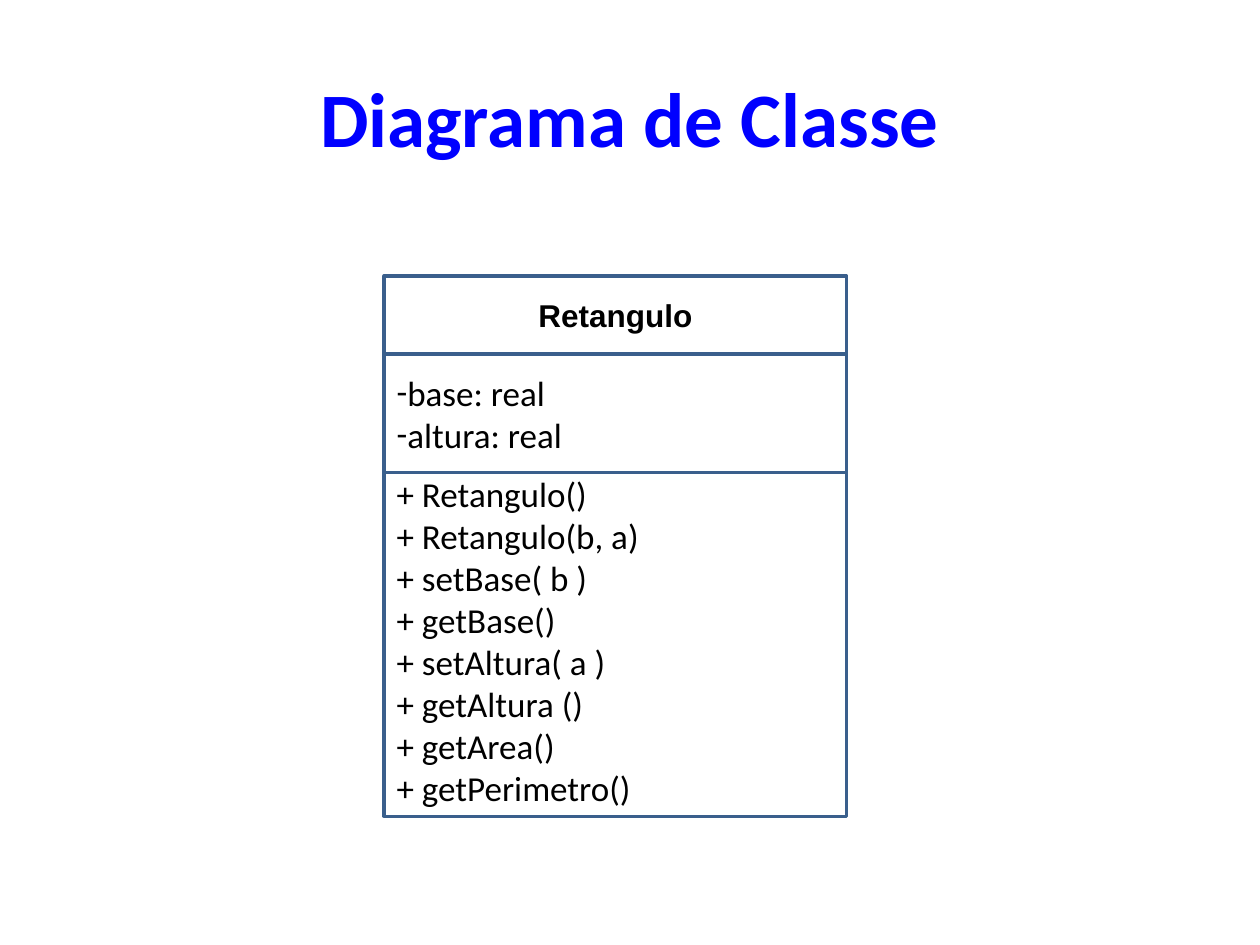
from lxml.etree import SubElement
from pptx import Presentation
from pptx.dml.color import RGBColor
from pptx.enum.shapes import MSO_SHAPE
from pptx.enum.text import MSO_ANCHOR, PP_ALIGN
from pptx.oxml.ns import qn
from pptx.util import Inches, Pt

CLASS_LEFT, CLASS_TOP, CLASS_WIDTH = 3.05, 2.19, 3.67
TITLE_FONT = {"name": "Calibri", "size": Pt(44), "bold": True}
NAME_FONT = {"name": "Arial", "size": Pt(18), "bold": True}
MEMBER_FONT = {"name": "Calibri", "size": Pt(20), "bold": False}
ATTRIBUTES = ["base: real", "altura: real"]
METHODS = ["Retangulo()", "Retangulo(b, a)", "setBase( b )", "getBase()",
           "setAltura( a )", "getAltura ()", "getArea()", "getPerimetro()"]


def color(value):
    return RGBColor.from_string(value)


def apply_format(target, values):
    for name, value in values.items():
        setattr(target, name, value)


def add_bullet(para, mark):
    properties = para._p.get_or_add_pPr()
    apply_bullet = {"marL": "0", "indent": "0"}
    for name, value in apply_bullet.items():
        properties.set(name, value)
    SubElement(properties, qn("a:buFont")).set("typeface", "Calibri")
    SubElement(properties, qn("a:buChar")).set("char", mark)


def write_lines(box, lines, font, font_color, align, frame_format, bullet=None):
    frame = box.text_frame
    apply_format(frame, {"word_wrap": True, **frame_format})
    for index, line in enumerate(lines):
        para = frame.add_paragraph() if index else frame.paragraphs[0]
        para.alignment = align
        if bullet:
            add_bullet(para, bullet)
        span = para.add_run()
        span.text = line
        apply_format(span.font, font)
        span.font.color.rgb = color(font_color)


def add_title(page, text):
    box = page.shapes.add_textbox(Inches(0.5), Inches(0.3), Inches(9), Inches(1.25))
    write_lines(box, [text], TITLE_FONT, "0000FF", PP_ALIGN.CENTER,
                {"vertical_anchor": MSO_ANCHOR.MIDDLE})


def add_compartment(page, top, height, lines, font, align, frame_format, bullet=None):
    box = page.shapes.add_shape(MSO_SHAPE.RECTANGLE, Inches(CLASS_LEFT), Inches(top),
                                Inches(CLASS_WIDTH), Inches(height))
    box.shadow.inherit = False
    box.fill.background()
    box.line.color.rgb = color("3A5F8C")
    box.line.width = Pt(2)
    write_lines(box, lines, font, "000000", align, frame_format, bullet)


def main():
    deck = Presentation()
    apply_format(deck, {"slide_width": Inches(10), "slide_height": Inches(7.5)})
    page = deck.slides.add_slide(deck.slide_layouts[6])
    add_title(page, "Diagrama de Classe")

    # Class box: name, attributes and methods stacked from the top
    middle = {"vertical_anchor": MSO_ANCHOR.MIDDLE}
    upper = {"vertical_anchor": MSO_ANCHOR.TOP, "margin_top": 0}
    compartments = [
        (0.62, ["Retangulo"], NAME_FONT, PP_ALIGN.CENTER, middle),
        (0.94, ATTRIBUTES, MEMBER_FONT, PP_ALIGN.LEFT, middle, "-"),
        (2.73, [f"+ {method}" for method in METHODS], MEMBER_FONT, PP_ALIGN.LEFT, upper),
    ]
    top = CLASS_TOP
    for height, *content in compartments:
        add_compartment(page, top, height, *content)
        top += height

    deck.save("out.pptx")


main()
